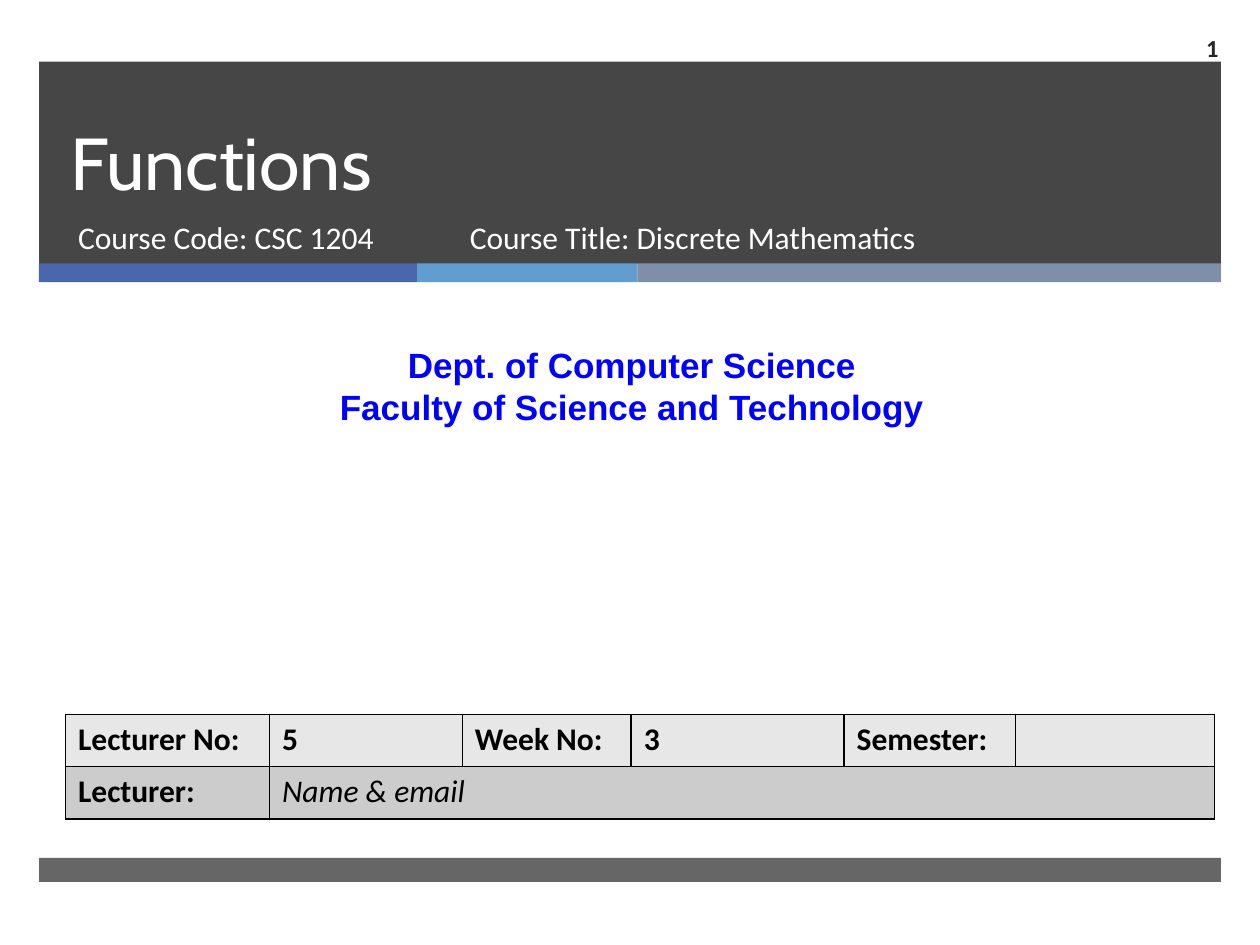
"""Build the opening slide of a lecture on functions."""
from dataclasses import dataclass
from typing import Any, NamedTuple

from lxml.etree import SubElement as Sub
from pptx import Presentation
from pptx.dml.color import RGBColor as Rgb
from pptx.enum.shapes import MSO_SHAPE as Kind
from pptx.enum.text import MSO_ANCHOR as Anchor, MSO_AUTO_SIZE as Fit, PP_ALIGN as Align
from pptx.oxml import parse_xml
from pptx.oxml.ns import nsdecls, qn
from pptx.util import Inches, Pt

WIDE, HIGH = Inches(10), Inches(7.5)


@dataclass(frozen=True)
class Theme:
    white: str = "FFFFFF"
    black: str = "000000"
    dark: str = "262626"
    blue: str = "0000FF"
    bars: tuple = ("4A66AC", "629DD1", "7F8FA9")
    rows: tuple = ("E7E7E7", "CCCCCC")
    head: str = "Cabin"
    body: str = "Calibri"
    dept: str = "Arial"
    huge: int = 42
    lead: int = 46
    large: int = 20
    text: int = 18
    small: int = 14


class Box(NamedTuple):
    """A place in percent of the slide's size."""
    x: float
    y: float
    w: float
    h: float

    def size(self) -> tuple:
        return across(self.x), down(self.y), across(self.w), down(self.h)


class Band(NamedTuple):
    box: Box
    color: str
    alpha: int = 100


class Label(NamedTuple):
    box: Box
    text: str
    style: dict


T = Theme()
LEFT, SPAN = 3.1, 93.8
WIDTHS = (30, 17.5, 46.3)
COLS = (16.2, 15.3, 13.4, 16.9, 13.6, 15.8)
ROW = 5.53
CELLS = (("Lecturer No:", "5", "Week No:", "3", "Semester:", ""),
         ("Lecturer:", "Name & email"))
BANDS = [Band(Box(LEFT, 6.53, SPAN, 21.4), T.dark, 85),
         *(Band(Box(LEFT + sum(WIDTHS[:i]), 27.87, w, 2), T.bars[i])
           for i, w in enumerate(WIDTHS)),
         Band(Box(LEFT, 90.8, SPAN, 2.53), T.dark, 70)]
HOLDERS = (
    Label(Box(4.6, 6.53, 85.4, 15.87), "Functions",
          dict(face=T.head, size=T.huge, color=T.white, lead=T.lead, anchor=Anchor.BOTTOM)),
    Label(Box(5.2, 22.4, 30.5, 7.07), "Course Code: CSC 1204", dict(color=T.white)))
LABELS = (
    Label(Box(0.8, 35.73, 98.7, 10.27),
          "Dept. of Computer Science\nFaculty of Science and Technology",
          dict(face=T.dept, size=T.large, color=T.blue, bold=True, align=Align.CENTER)),
    Label(Box(36.3, 22.4, 45.5, 7.07), "Course Title: Discrete Mathematics",
          dict(color=T.white)),
    Label(Box(90.8, 2.4, 6.9, 5.2), "1",
          dict(size=T.small, color=T.dark, bold=True, align=Align.RIGHT,
               anchor=Anchor.MIDDLE)))


def across(share: float) -> int:
    return round(WIDE * share / 100)


def down(share: float) -> int:
    return round(HIGH * share / 100)


def write(frame: Any, text: str, *, face: str = T.body, size: int = T.text,
          color: str = T.black, bold: bool = False, italic: bool = False,
          align: Any = Align.LEFT, lead: int = 0, anchor: Any = Anchor.TOP) -> None:
    frame.text = text
    frame.word_wrap = True
    frame.vertical_anchor = anchor
    for para in frame.paragraphs:
        para.alignment = align
        para.space_before = Pt(0)
        if lead:
            para.line_spacing = Pt(lead)
        for run in para.runs:
            font = run.font
            font.name, font.size = face, Pt(size)
            font.bold, font.italic = bold, italic
            font.color.rgb = Rgb.from_string(color)


def draw_band(shapes: Any, band: Band) -> None:
    shape = shapes.add_shape(Kind.RECTANGLE, *band.box.size())
    shape.shadow.inherit = False
    shape.line.fill.background()
    shape.fill.solid()
    shape.fill.fore_color.rgb = Rgb.from_string(band.color)
    if band.alpha < 100:
        tint = shape._element.spPr.find(qn("a:solidFill"))[0]
        Sub(tint, qn("a:alpha"), val=str(band.alpha * 1000))


def fill_holder(shapes: Any, holder: Any, label: Label) -> None:
    holder.left, holder.top, holder.width, holder.height = label.box.size()
    write(holder.text_frame, label.text, **label.style)
    holder.text_frame.auto_size = Fit.NONE
    shapes._spTree.append(holder._element)


def draw_label(shapes: Any, label: Label) -> None:
    frame = shapes.add_textbox(*label.box.size()).text_frame
    write(frame, label.text, **label.style)


def edge(cell: Any) -> None:
    for i, side in enumerate("LRTB"):
        cell._tc.get_or_add_tcPr().insert(i, parse_xml(
            f'<a:ln{side} {nsdecls("a")} w="{Pt(1)}"><a:solidFill>'
            f'<a:srgbClr val="{T.black}"/></a:solidFill></a:ln{side}>'))


def draw_table(shapes: Any) -> None:
    box = Box(5.2, 75.6, sum(COLS), ROW * len(CELLS))
    table = shapes.add_table(len(CELLS), len(COLS), *box.size()).table
    for col, share in zip(table.columns, COLS):
        col.width = across(share)
    for r, (line, color) in enumerate(zip(CELLS, T.rows)):
        table.rows[r].height = down(ROW)
        for c in range(len(COLS)):
            cell = table.cell(r, c)
            cell.fill.solid()
            cell.fill.fore_color.rgb = Rgb.from_string(color)
            edge(cell)
            if c < len(line) and line[c]:
                name = r == 1 and c == 1
                write(cell.text_frame, line[c], bold=not name, italic=name)
    table.cell(1, 1).merge(table.cell(1, len(COLS) - 1))


def main() -> None:
    deck = Presentation()
    deck.slide_width, deck.slide_height = WIDE, HIGH
    slide = deck.slides.add_slide(deck.slide_layouts[0])
    shapes = slide.shapes
    for band in BANDS:
        draw_band(shapes, band)
    for holder, label in zip(list(slide.placeholders), HOLDERS):
        fill_holder(shapes, holder, label)
    draw_table(shapes)
    for label in LABELS:
        draw_label(shapes, label)
    deck.save("out.pptx")


if __name__ == "__main__":
    main()
